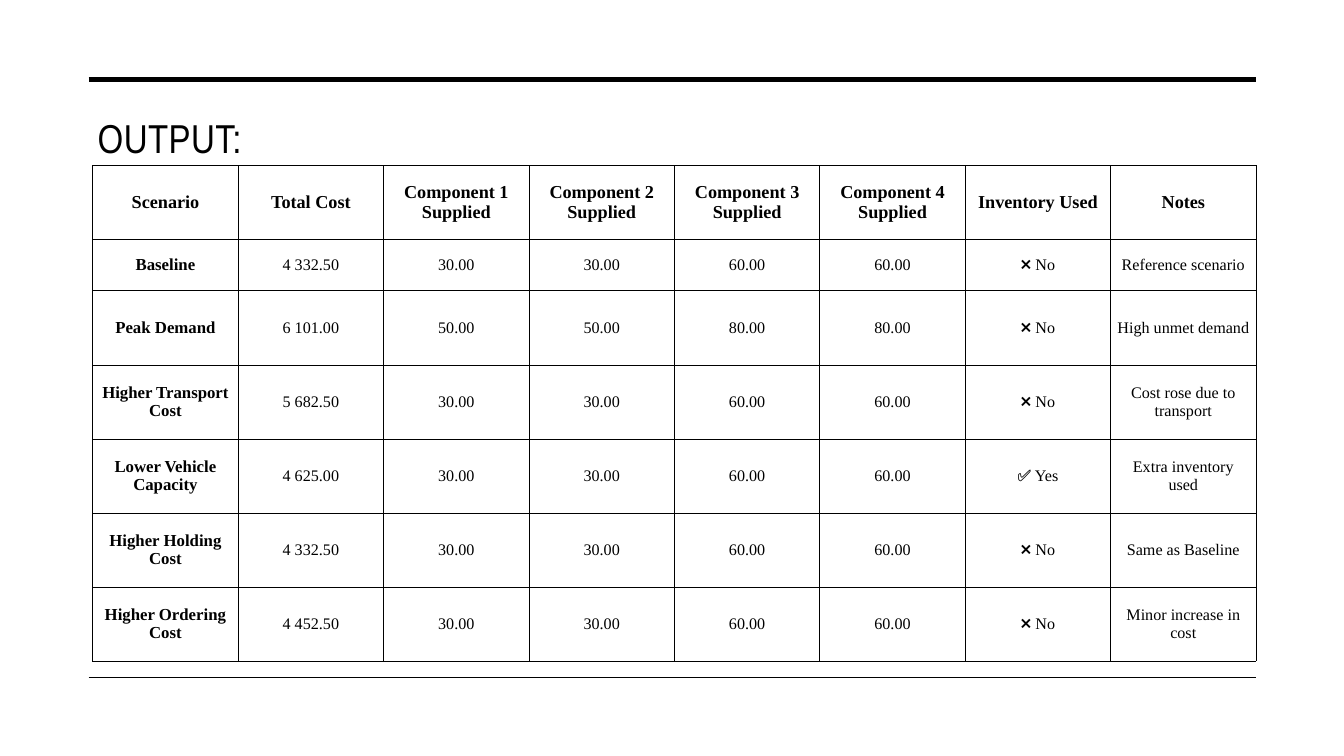
"""Build the scenario output slide: a title, two rules and a results table."""
from dataclasses import dataclass

from lxml import etree
from pptx import Presentation
from pptx import util as u
from pptx.dml.color import RGBColor
from pptx.enum import shapes, text
from pptx.oxml.ns import qn

TITLE = "OUTPUT:"
HEADINGS = ["Scenario", "Total Cost", "Component 1 Supplied", "Component 2 Supplied",
            "Component 3 Supplied", "Component 4 Supplied", "Inventory Used", "Notes"]
SCENARIOS = [
    ("Baseline", "4 332.50", "30.00", "30.00", "60.00", "60.00", "❌ No", "Reference scenario"),
    ("Peak Demand", "6 101.00", "50.00", "50.00", "80.00", "80.00", "❌ No", "High unmet demand"),
    ("Higher Transport Cost", "5 682.50", "30.00", "30.00", "60.00", "60.00", "❌ No",
     "Cost rose due to transport"),
    ("Lower Vehicle Capacity", "4 625.00", "30.00", "30.00", "60.00", "60.00", "✅ Yes",
     "Extra inventory used"),
    ("Higher Holding Cost", "4 332.50", "30.00", "30.00", "60.00", "60.00", "❌ No",
     "Same as Baseline"),
    ("Higher Ordering Cost", "4 452.50", "30.00", "30.00", "60.00", "60.00", "❌ No",
     "Minor increase in cost"),
]
RULES = [(0.79, 3.5), (6.72, 1)]
RULE_LEFT, RULE_RIGHT = 0.88, 12.46
TITLE_BOX = (0.87, 1.05, 4.48, 0.6)
TABLE_BOX = (0.92, 1.64, 11.54, 4.92)
BASELINE_HEIGHT, ROW_HEIGHT = 0.51, 0.735


@dataclass(frozen=True)
class Theme:
    """Colours, fonts and type sizes."""
    ink: str = "000000"
    title_font: str = "Arial Narrow"
    table_font: str = "Times New Roman"
    title_size: float = 28.8
    heading_size: float = 13
    scenario_size: float = 12
    value_size: float = 11.5
    border: float = 0.5


THEME = Theme()


def style(paragraph, font_name, size, bold=False):
    for run in paragraph.runs:
        run.font.name = font_name
        run.font.size = u.Pt(size)
        run.font.bold = bold
        run.font.color.rgb = RGBColor.from_string(THEME.ink)


def add_rule(slide, top, weight):
    rule = slide.shapes.add_connector(
        shapes.MSO_CONNECTOR.STRAIGHT, u.Inches(RULE_LEFT), u.Inches(top),
        u.Inches(RULE_RIGHT), u.Inches(top))
    rule.line.color.rgb = RGBColor.from_string(THEME.ink)
    rule.line.width = u.Pt(weight)
    etree.SubElement(rule._element.spPr, qn("a:effectLst"))


def add_title(slide):
    title = slide.shapes.add_textbox(*map(u.Inches, TITLE_BOX)).text_frame
    title.word_wrap = True
    title.vertical_anchor = text.MSO_ANCHOR.BOTTOM
    title.text = TITLE
    style(title.paragraphs[0], THEME.title_font, THEME.title_size)
    title.paragraphs[0].runs[0].font._element.set("spc", "30")


def add_borders(cell):
    properties = cell._tc.get_or_add_tcPr()
    for position, side in enumerate(("lnL", "lnR", "lnT", "lnB")):
        border = etree.Element(qn(f"a:{side}"), w=str(u.Pt(THEME.border)))
        fill = etree.SubElement(border, qn("a:solidFill"))
        etree.SubElement(fill, qn("a:srgbClr"), val=THEME.ink)
        properties.insert(position, border)


def fill_cell(cell, wording, size, bold):
    cell.text = wording
    cell.vertical_anchor = text.MSO_ANCHOR.MIDDLE
    cell.margin_left = cell.margin_right = u.Inches(0.06)
    cell.margin_top = cell.margin_bottom = u.Inches(0.03)
    cell.fill.background()
    add_borders(cell)
    paragraph = cell.text_frame.paragraphs[0]
    paragraph.alignment = text.PP_ALIGN.CENTER
    style(paragraph, THEME.table_font, size, bold)


def add_results(slide):
    lines = [HEADINGS, *SCENARIOS]
    results = slide.shapes.add_table(
        len(lines), len(HEADINGS), *map(u.Inches, TABLE_BOX)).table
    results.first_row = results.horz_banding = False
    for column in results.columns:
        column.width = u.Inches(TABLE_BOX[2] / len(HEADINGS))
    for r, line in enumerate(lines):
        results.rows[r].height = u.Inches(BASELINE_HEIGHT if r == 1 else ROW_HEIGHT)
        for c, wording in enumerate(line):
            if r == 0:
                size = THEME.heading_size
            else:
                size = THEME.scenario_size if c == 0 else THEME.value_size
            fill_cell(results.cell(r, c), wording, size, bold=r == 0 or c == 0)


def main():
    deck = Presentation()
    deck.slide_width, deck.slide_height = u.Inches(13.33), u.Inches(7.5)
    slide = deck.slides.add_slide(deck.slide_layouts[6])
    for top, weight in RULES:
        add_rule(slide, top, weight)
    add_title(slide)
    add_results(slide)
    deck.save("out.pptx")


if __name__ == "__main__":
    main()
